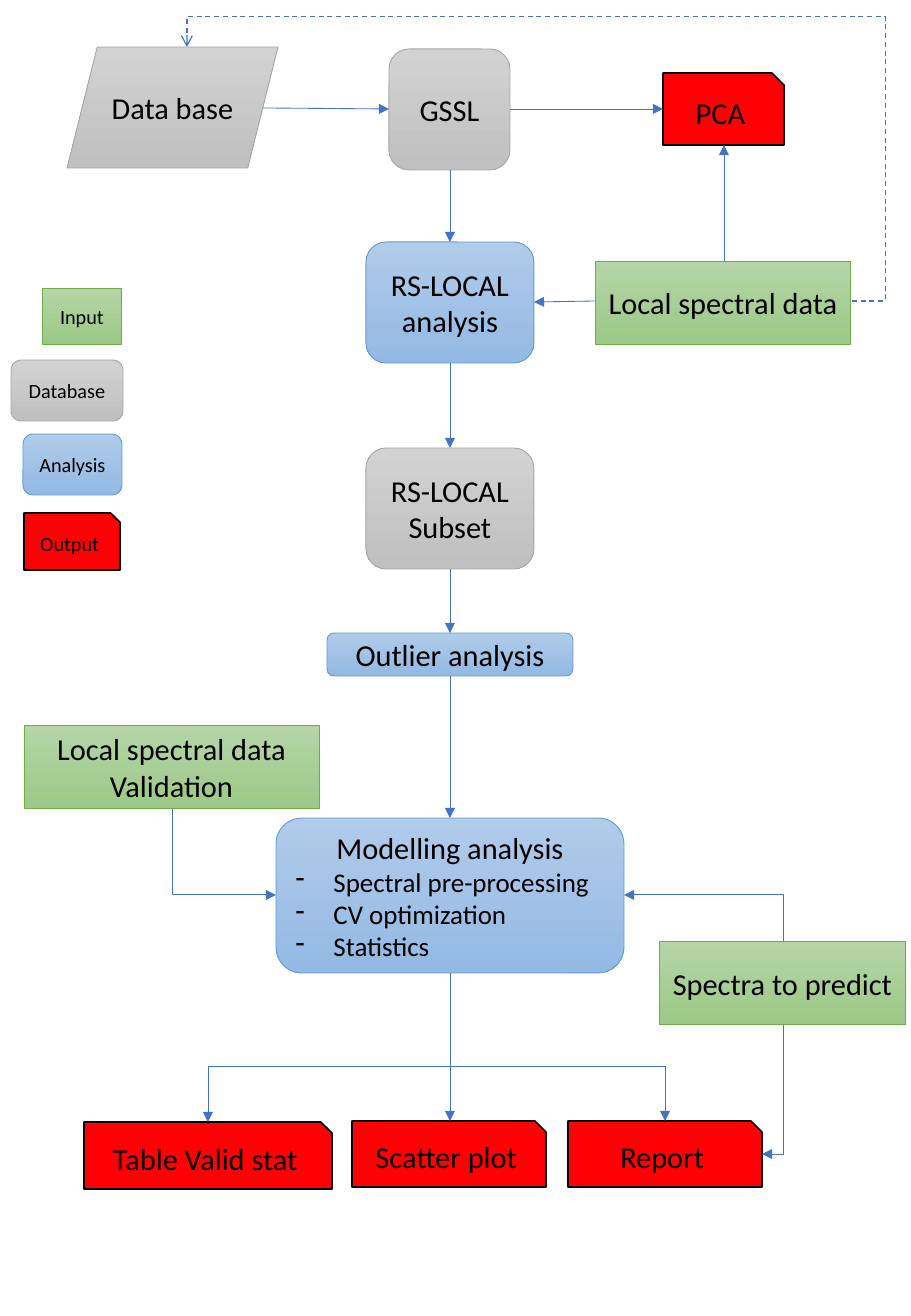
import pptx
import pptx.util
import pptx.dml.color
import pptx.enum.dml
import pptx.enum.shapes
import pptx.enum.text
import pptx.oxml
import pptx.oxml.ns
import lxml.etree

SHAPE = pptx.enum.shapes.MSO_SHAPE
ALIGN = pptx.enum.text.PP_ALIGN
qn = pptx.oxml.ns.qn

COLOURS = {
    "text": "000000",
    "arrow": "4472C4",
    "input_top": "B5D5A7", "input_bottom": "9CC987", "input_line": "70AD47",
    "database_top": "D2D2D2", "database_bottom": "C0C0C0", "database_line": "A5A5A5",
    "analysis_top": "B1CBE9", "analysis_bottom": "93B9E4", "analysis_line": "5B9BD5",
    "output": "FF0005", "output_line": "000000",
}
OUTLINES = {
    "input": SHAPE.RECTANGLE,
    "database": SHAPE.ROUNDED_RECTANGLE,
    "analysis": SHAPE.ROUNDED_RECTANGLE,
    "output": SHAPE.SNIP_1_RECTANGLE,
}


class FlowChart:
    font = "Calibri"
    scale = 914400 / 121.5

    def __init__(self, deck, width, height):
        deck.slide_width = self.emu(width)
        deck.slide_height = self.emu(height)
        self.page = deck.slides.add_slide(deck.slide_layouts[6])

    def emu(self, pixels):
        return pptx.util.Emu(round(pixels * self.scale))

    def colour(self, name):
        return pptx.dml.color.RGBColor.from_string(COLOURS[name])

    def box(self, role, frame, lines, size=18, outline=None):
        box = self.page.shapes.add_shape(
            outline or OUTLINES[role], *[self.emu(value) for value in frame])
        box.shadow.inherit = False
        if role == "output":
            box.fill.solid()
            box.fill.fore_color.rgb = self.colour(role)
        else:
            box.fill.gradient()
            box.fill.gradient_angle = 270
            for stop, end in zip(box.fill.gradient_stops, ("top", "bottom")):
                stop.color.rgb = self.colour(f"{role}_{end}")
        box.line.color.rgb = self.colour(f"{role}_line")
        box.line.width = pptx.util.Pt(1 if role == "output" else 0.5)
        box.text_frame.word_wrap = True
        box.text_frame.vertical_anchor = pptx.enum.text.MSO_ANCHOR.MIDDLE
        for index, text in enumerate(lines):
            para = box.text_frame.paragraphs[0] if index == 0 else box.text_frame.add_paragraph()
            para.alignment = ALIGN.CENTER
            self.add_span(para, text, size)
        return box

    def add_span(self, para, text, size):
        span = para.add_run()
        span.text = text
        span.font.name = self.font
        span.font.size = pptx.util.Pt(size)
        span.font.color.rgb = self.colour("text")

    def bullet(self, box, text, size=16, indent=38):
        para = box.text_frame.add_paragraph()
        para.alignment = ALIGN.LEFT
        self.add_span(para, text, size)
        settings = para._p.get_or_add_pPr()
        settings.set("marL", str(self.emu(indent)))
        settings.set("indent", str(-self.emu(indent)))
        lxml.etree.SubElement(settings, qn("a:buFontTx"))
        lxml.etree.SubElement(settings, qn("a:buChar")).set("char", "-")

    def connector(self, kind, begin, end, width=0.5, head="triangle", dashed=False):
        points = [self.emu(value) for value in (*begin, *end)]
        arrow = self.page.shapes.add_connector(kind, *points)
        arrow.line.color.rgb = self.colour("arrow")
        arrow.line.width = pptx.util.Pt(width)
        if dashed:
            arrow.line.dash_style = pptx.enum.dml.MSO_LINE.DASH
        properties = arrow._element.spPr
        tail = lxml.etree.SubElement(properties.find(qn("a:ln")), qn("a:tailEnd"))
        tail.set("type", head)
        lxml.etree.SubElement(properties, qn("a:effectLst"))
        return properties

    def arrow(self, begin, end):
        self.connector(pptx.enum.shapes.MSO_CONNECTOR.STRAIGHT, begin, end)

    def elbow(self, begin, end, bends, adjustments=(), upright=True, **style):
        across, down = end[0] - begin[0], end[1] - begin[1]
        middle = (begin[0] + across / 2, begin[1] + down / 2)
        turn = 1 if across < 0 < down else -1
        half = (turn * down / 2, -turn * across / 2) if upright else (across / 2, down / 2)
        properties = self.connector(
            pptx.enum.shapes.MSO_CONNECTOR.ELBOW,
            (middle[0] - half[0], middle[1] - half[1]),
            (middle[0] + half[0], middle[1] + half[1]), **style)
        if upright:
            properties.find(qn("a:xfrm")).set("rot", str(turn * 90 % 360 * 60000))
        geometry = properties.find(qn("a:prstGeom"))
        geometry.set("prst", f"bentConnector{bends + 1}")
        guides = geometry.find(qn("a:avLst"))
        if guides is None:
            guides = lxml.etree.SubElement(geometry, qn("a:avLst"))
        for number, share in enumerate(adjustments, 1):
            guide = lxml.etree.SubElement(guides, qn("a:gd"))
            guide.set("name", f"adj{number}")
            guide.set("fmla", f"val {round(share * 100000)}")


deck = pptx.Presentation()
chart = FlowChart(deck, 911, 1316)

chart.box("database", (67, 47, 211, 121), ["Data base"], outline=SHAPE.PARALLELOGRAM)
for role, frame, lines in [
    ("database", (389, 49, 121, 121), ["GSSL"]),
    ("output", (663, 73, 121, 72), ["PCA"]),
    ("database", (366, 448, 168, 121), ["RS-LOCAL", "Subset"]),
    ("input", (595, 261, 256, 83), ["Local spectral data"]),
    ("analysis", (366, 242, 168, 121), ["RS-LOCAL", "analysis"]),
    ("analysis", (327, 633, 246, 43), ["Outlier analysis"]),
    ("input", (24, 725, 295, 84), ["Local spectral data", "Validation"]),
    ("input", (659, 941, 247, 84), ["Spectra to predict"]),
    ("output", (84, 1122, 248, 67), ["Table Valid stat"]),
    ("output", (352, 1121, 194, 66), ["Scatter plot"]),
    ("output", (568, 1121, 194, 66), ["Report"]),
]:
    chart.box(role, frame, lines)

modelling = chart.box("analysis", (276, 818, 348, 155), ["Modelling analysis"])
for step in ("Spectral pre-processing", "CV optimization", "Statistics"):
    chart.bullet(modelling, step)

for role, frame in [
    ("input", (42, 288, 80, 56)),
    ("database", (11, 360, 112, 61)),
    ("analysis", (23, 434, 99, 61)),
    ("output", (24, 513, 96, 57)),
]:
    chart.box(role, frame, [role.capitalize()], size=12)

SPINE = 450
for top, bottom in [(170, 242), (363, 448), (569, 633), (676, 818), (973, 1121)]:
    chart.arrow((SPINE, top), (SPINE, bottom))
for begin, end in [
    ((263, 108), (389, 109)),
    ((510, 109), (663, 109)),
    ((595, 301), (534, 302)),
    ((724, 261), (724, 145)),
]:
    chart.arrow(begin, end)

for end in [(665, 1121), (208, 1122)]:
    chart.elbow((SPINE, 973), end, 2, [0.63])
for begin, end in [
    ((172, 809), (276, 895)),
    ((783, 941), (624, 895)),
    ((783, 1025), (762, 1154)),
]:
    chart.elbow(begin, end, 1)
chart.elbow((852, 301), (187, 47), 3, [-0.05, 1.12], upright=False,
            width=0.75, head="arrow", dashed=True)

deck.save("out.pptx")
